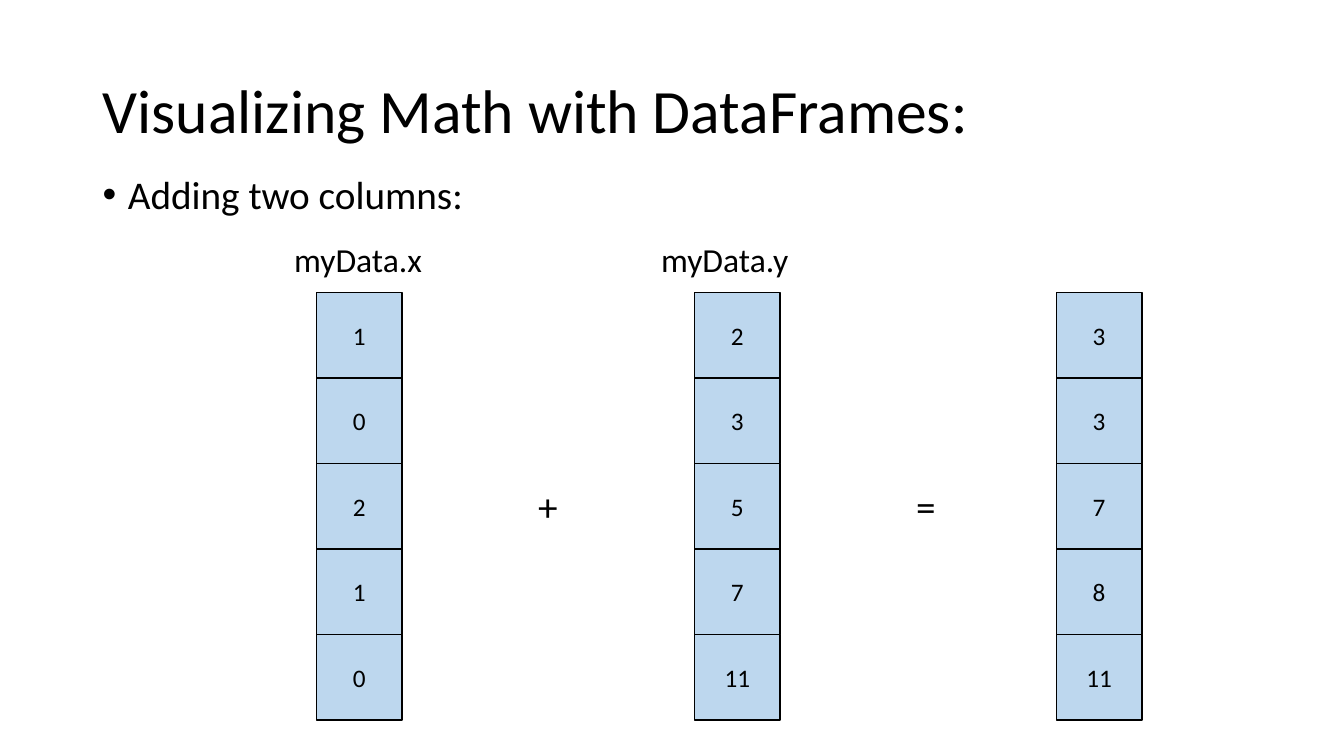
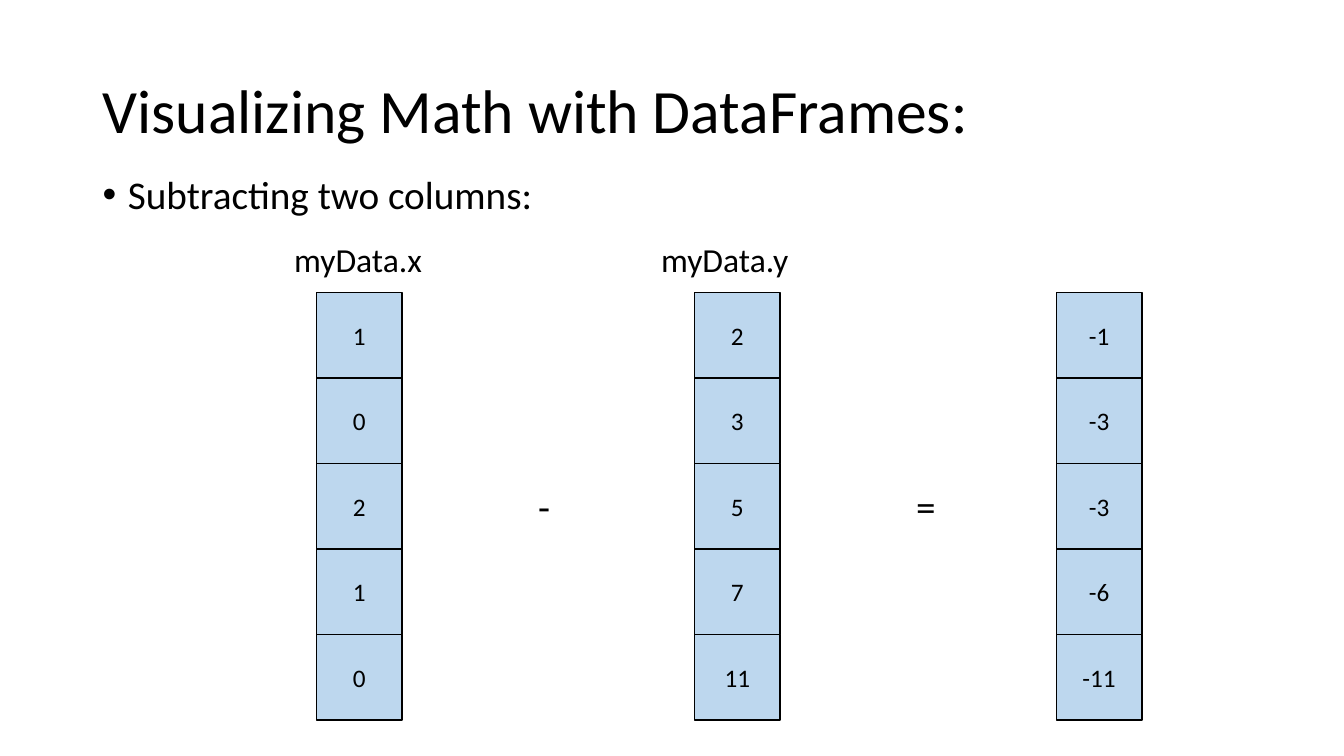
import pptx
import pptx.util
import pptx.dml.color
import pptx.enum.shapes
import pptx.enum.text

Pt = pptx.util.Pt
PP_ALIGN = pptx.enum.text.PP_ALIGN
MSO_ANCHOR = pptx.enum.text.MSO_ANCHOR

# Shared style
BLACK = pptx.dml.color.RGBColor(0x00, 0x00, 0x00)
CELL_BLUE = pptx.dml.color.RGBColor(0xBD, 0xD7, 0xEE)
FONT = "Calibri"
TITLE = "Visualizing Math with DataFrames:"

# Column layout, in points
CELL = 61.1
CELLS_TOP = 208.8
X_LEFT, Y_LEFT, RESULT_LEFT = 226.1, 496.1, 754.5
LABEL_TOP, LABEL_HEIGHT = 167, 36
SIGN_TOP, SIGN_HEIGHT = 341.3, 41

# Data
X = [1, 0, 2, 1, 0]
Y = [2, 3, 5, 7, 11]


def add_run(p, text, size):
    r = p.add_run()
    r.text = text
    r.font.name = FONT
    r.font.size = Pt(size)
    r.font.color.rgb = BLACK


def fill_placeholder(sp, box, text, size, anchor):
    sp.left, sp.top, sp.width, sp.height = [Pt(v) for v in box]
    sp.text_frame.vertical_anchor = anchor
    p = sp.text_frame.paragraphs[0]
    p.alignment = PP_ALIGN.LEFT
    p.line_spacing = 0.9
    add_run(p, text, size)
    return p


def add_heading(s, bullet):
    title, body = s.placeholders
    p = fill_placeholder(title, (66.2, 28.8, 828, 104.4), TITLE, 44, MSO_ANCHOR.MIDDLE)
    p.space_before = Pt(0)
    p = fill_placeholder(body, (66.2, 121.7, 828, 342.7), bullet, 28, MSO_ANCHOR.TOP)
    p.space_before = Pt(10)
    # Hanging indent for the bullet
    pPr = p._p.get_or_add_pPr()
    pPr.set("marL", str(Pt(18)))
    pPr.set("indent", str(-Pt(18)))


def add_label(s, text, left, top, width, height, size):
    sp = s.shapes.add_textbox(Pt(left), Pt(top), Pt(width), Pt(height))
    tf = sp.text_frame
    tf.word_wrap = False
    tf.auto_size = pptx.enum.text.MSO_AUTO_SIZE.SHAPE_TO_FIT_TEXT
    add_run(tf.paragraphs[0], text, size)


def add_column(s, left, values):
    for row, value in enumerate(values):
        sp = s.shapes.add_shape(
            pptx.enum.shapes.MSO_SHAPE.FLOWCHART_PROCESS,
            Pt(left), Pt(CELLS_TOP + row * CELL), Pt(CELL), Pt(CELL))
        sp.shadow.inherit = False
        sp.fill.solid()
        sp.fill.fore_color.rgb = CELL_BLUE
        sp.line.color.rgb = BLACK
        sp.line.width = Pt(1)
        sp.text_frame.vertical_anchor = MSO_ANCHOR.MIDDLE
        p = sp.text_frame.paragraphs[0]
        p.alignment = PP_ALIGN.CENTER
        add_run(p, str(value), 18)


def add_math_slide(prs, bullet, sign, sign_width, result):
    s = prs.slides.add_slide(prs.slide_layouts[1])
    add_heading(s, bullet)
    # Operands and result
    for left, values in ((X_LEFT, X), (Y_LEFT, Y), (RESULT_LEFT, result)):
        add_column(s, left, values)
    # Column names
    for text, left in (("myData.x", 203), ("myData.y", 465.1)):
        add_label(s, text, left, LABEL_TOP, 106.2, LABEL_HEIGHT, 24)
    # Signs between the columns
    for text, left, width in ((sign, 377.3, sign_width), ("=", 647.3, 28.8)):
        add_label(s, text, left, SIGN_TOP, width, SIGN_HEIGHT, 28)


def main():
    prs = pptx.Presentation()
    prs.slide_width, prs.slide_height = Pt(960), Pt(540)
    add_math_slide(prs, "Adding two columns:", "+", 28.8,
                   [x + y for x, y in zip(X, Y)])
    add_math_slide(prs, "Subtracting two columns:", "-", 23,
                   [x - y for x, y in zip(X, Y)])
    prs.save("out.pptx")


if __name__ == "__main__":
    main()
